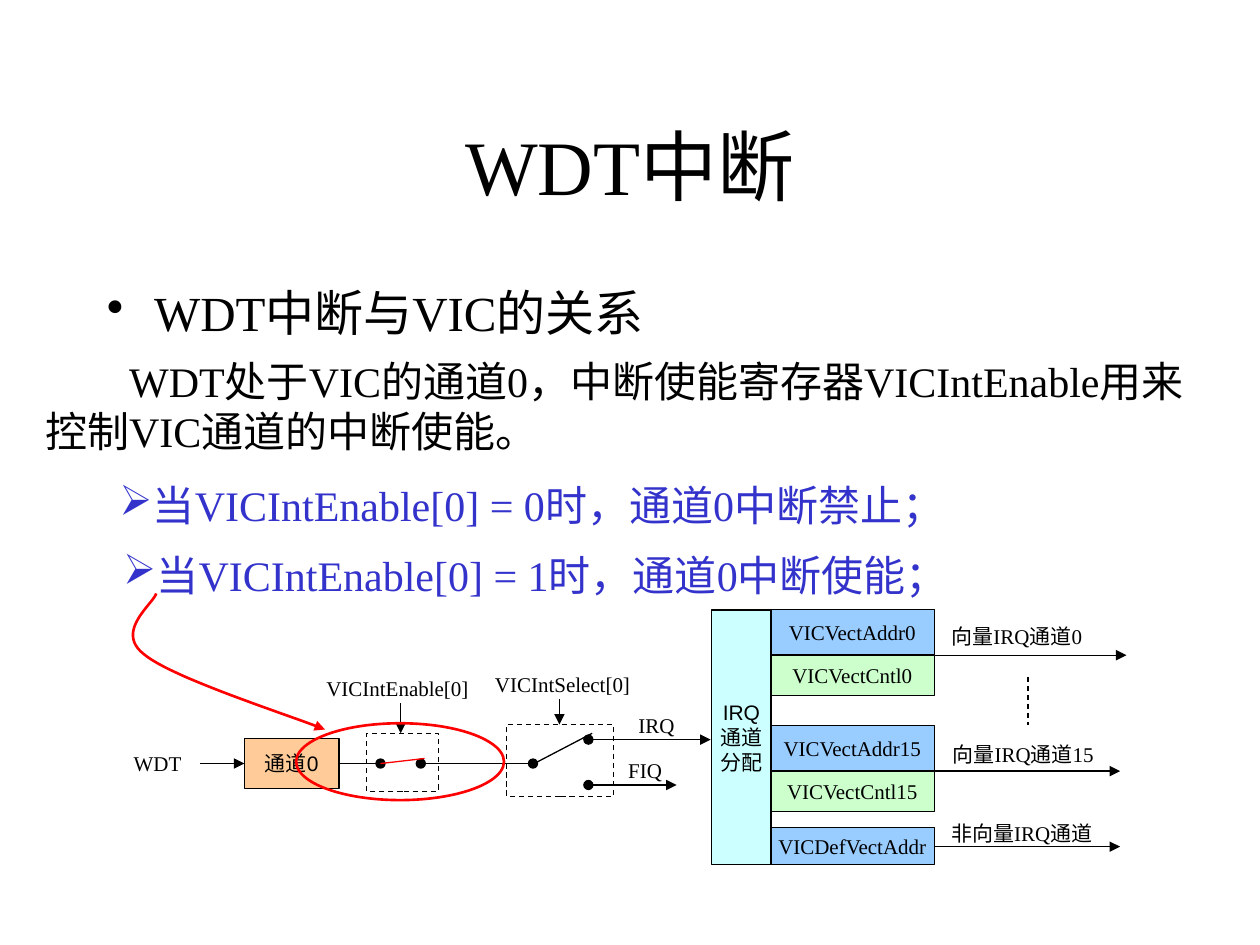
from dataclasses import dataclass

from lxml import etree
from pptx import Presentation
from pptx.dml.color import RGBColor
from pptx.enum.dml import MSO_LINE
from pptx.enum.shapes import MSO_CONNECTOR, MSO_SHAPE
from pptx.enum.text import MSO_ANCHOR, MSO_AUTO_SIZE, PP_ALIGN
from pptx.oxml.ns import qn
from pptx.util import Inches, Pt

RECT, OVAL = MSO_SHAPE.RECTANGLE, MSO_SHAPE.OVAL
STRAIGHT = MSO_CONNECTOR.STRAIGHT
DASH = MSO_LINE.DASH
LEFT, CENTER = PP_ALIGN.LEFT, PP_ALIGN.CENTER
TOP, MIDDLE = MSO_ANCHOR.TOP, MSO_ANCHOR.MIDDLE
FIXED = MSO_AUTO_SIZE.NONE

COLUMNS, ROWS = 100, 75
CELL = Inches(10) // COLUMNS
SERIF, SANS = "Times New Roman", "Arial"
BLACK, WHITE, RED, INDIGO = "000000", "FFFFFF", "FF0000", "3333CC"
ORANGE, BLUE, GREEN, CYAN = "FFCC99", "99CCFF", "CCFFCC", "CCFFFF"


def cells(count):
    return round(count * CELL)


def color(hex_value):
    return RGBColor.from_string(hex_value)


@dataclass
class Box:
    left: float
    top: float
    width: float
    height: float

    def area(self, left, top, width, height):
        return Box(self.left + left, self.top + top, width, height)

    def point(self, x, y):
        return cells(self.left + x), cells(self.top + y)

    def frame(self):
        return [cells(n) for n in (self.left, self.top, self.width, self.height)]


def write(frame, text, size=12, font=SERIF, ink=BLACK, align=CENTER, anchor=TOP,
          wrap=True, bullet=None, margin=0, indent=0):
    frame.auto_size = FIXED
    frame.word_wrap = wrap
    frame.vertical_anchor = anchor
    frame.text = text
    for paragraph in frame.paragraphs:
        paragraph.alignment = align
        properties = paragraph._p.get_or_add_pPr()
        properties.set("marL", str(cells(margin)))
        properties.set("indent", str(cells(indent)))
        if bullet:
            tint = etree.SubElement(properties, qn("a:buClr"))
            etree.SubElement(tint, qn("a:srgbClr"), val=ink)
            etree.SubElement(properties, qn("a:buChar"), char=bullet)
        paragraph.font.size = Pt(size)
        paragraph.font.name = font
        paragraph.font.color.rgb = color(ink)


def label(slide, box, text, **style):
    write(slide.shapes.add_textbox(*box.frame()).text_frame, text, **style)


def outline(item, ink=BLACK, weight=0.75, dash=None, head=None, tail=None):
    item.line.color.rgb = color(ink)
    item.line.width = Pt(weight)
    if dash:
        item.line.dash_style = dash
    stroke = item.line._get_or_add_ln()
    for tag, end in (("a:headEnd", head), ("a:tailEnd", tail)):
        if end:
            etree.SubElement(stroke, qn(tag), type=end)


def block(slide, box, text="", fill=None, kind=RECT, font=SERIF, **stroke):
    shape = slide.shapes.add_shape(kind, *box.frame())
    shape.shadow.inherit = False
    if fill:
        shape.fill.solid()
        shape.fill.fore_color.rgb = color(fill)
    else:
        shape.fill.background()
    outline(shape, **stroke)
    if text:
        write(shape.text_frame, text, font=font, anchor=MIDDLE, wrap=False)


def wire(slide, box, start, end, **stroke):
    connector = slide.shapes.add_connector(STRAIGHT, *box.point(*start), *box.point(*end))
    outline(connector, **stroke)
    etree.SubElement(connector._element.spPr, qn("a:effectLst"))


def add_title(slide, box):
    title = slide.shapes.title
    title.left, title.top, title.width, title.height = box.frame()
    write(title.text_frame, "WDT中断", size=44, anchor=MIDDLE)


def add_explanation(slide, box):
    label(slide, box.area(4.9, 0.97, 68.5, 5.33), "WDT中断与VIC的关系", size=28,
          align=LEFT, bullet="•", margin=3.75, indent=-3.75)
    label(slide, box.area(0, 6.7, 95.1, 9),
          "WDT处于VIC的通道0，中断使能寄存器VICIntEnable用来控制VIC通道的中断使能。",
          size=24, align=LEFT, indent=6.67)
    states = (("0", "禁止", 5.9), ("1", "使能", 6.2))
    for row, (value, effect, left) in enumerate(states):
        label(slide, box.area(left, 16.6 + 5.5 * row, 71.7, 5),
              f"当VICIntEnable[0] = {value}时，通道0中断{effect}；",
              size=24, ink=INDIGO, align=LEFT, bullet="➢")


def add_switches(slide, box):
    main_level, irq, fiq = 7.8, 5.9, 9.5
    block(slide, box.area(30.6, 4.7, 8.5, 5.7), fill=WHITE, dash=DASH)
    block(slide, box.area(19.5, 5.4, 5.7, 4.6), fill=WHITE, dash=DASH)
    block(slide, box.area(9.8, 5.8, 7.5, 4), "通道0", ORANGE, font=SANS)
    for text, left, top, width in (
        ("WDT", 0, 6.3, 5.8),
        ("VICIntEnable[0]", 15.1, 0.3, 13.7),
        ("VICIntSelect[0]", 28.1, 0, 13.9),
        ("IRQ", 39.9, 3.3, 5.2),
        ("FIQ", 39, 6.8, 5.2),
    ):
        label(slide, box.area(left, top, width, 3), text)
    for start, end, head, tail in (
        ((6.3, main_level), (9.8, main_level), None, "triangle"),
        ((17.4, main_level), (20.6, main_level), None, "oval"),
        ((23.8, main_level), (32.7, main_level), "oval", "oval"),
        ((37.1, irq), (46.8, irq), "oval", "triangle"),
        ((37.1, fiq), (44.1, fiq), "oval", "triangle"),
        ((32.8, main_level), (37.4, 5.4), None, None),
        ((22.2, 3), (22.2, 5.4), None, "triangle"),
        ((34.8, 2.7), (34.8, 4.7), None, "triangle"),
    ):
        wire(slide, box, start, end, head=head, tail=tail)
    wire(slide, box, (20.6, main_level), (24.1, 7.4), ink=RED)


def add_vectors(slide, box):
    left, width, exit_x = 4.6, 13.1, 17.6
    outputs = (
        ("向量IRQ通道0", 0.6, 13.2, 3.6, 32.9),
        ("向量IRQ通道15", 10, 14.2, 12.8, 32.4),
        ("非向量IRQ通道", 16.2, 14, 18.8, 32.4),
    )
    for text, top, label_width, level, tip in outputs:
        label(slide, box.area(exit_x, top, label_width, 3), text)
        wire(slide, box, (exit_x, level), (tip, level), tail="triangle")
    wire(slide, box, (25.1, 5.3), (25.1, 9.1), dash=DASH)
    for channel, top in ((0, 0), (15, 9.2)):
        block(slide, box.area(left, top, width, 3.6), f"VICVectAddr{channel}", BLUE)
        block(slide, box.area(left, top + 3.6, width, 3.2), f"VICVectCntl{channel}", GREEN)
    block(slide, box.area(left, 17.3, width, 2.9), "VICDefVectAddr", BLUE)
    block(slide, box.area(0, 0, 4.7, box.height), "IRQ\n通道\n分配", CYAN, font=SANS)


def bezier(points, t):
    weights = ((1 - t) ** 3, 3 * t * (1 - t) ** 2, 3 * t * t * (1 - t), t ** 3)
    return tuple(sum(w * p[axis] for w, p in zip(weights, points)) for axis in (0, 1))


def add_highlight(slide, box):
    block(slide, box.area(14.4, 10.3, 16.5, 6.1), kind=OVAL, ink=RED, weight=1.5)
    knots = ((3.3, 0), (3.1, 0.8), (0, 3), (2.3, 4.8), (4.5, 6.7), (13.7, 9.6), (16.7, 10.8))
    steps = 24
    trail = [box.point(*bezier(knots[first:first + 4], step / steps))
             for first in (0, 3) for step in range(1, steps + 1)]
    builder = slide.shapes.build_freeform(*box.point(*knots[0]))
    builder.add_line_segments(trail, close=False)
    curve = builder.convert_to_shape()
    curve.shadow.inherit = False
    curve.fill.background()
    outline(curve, ink=RED, weight=1.5, tail="triangle")


def main():
    presentation = Presentation()
    presentation.slide_width = cells(COLUMNS)
    presentation.slide_height = cells(ROWS)
    slide = presentation.slides.add_slide(presentation.slide_layouts[5])
    add_title(slide, Box(7.5, 6.8, 85, 12.5))
    add_vectors(slide, Box(56.5, 48.4, 32.9, 20.2))
    add_switches(slide, Box(9.6, 52.8, 46.8, 10.4))
    add_explanation(slide, Box(2.6, 21, 95.1, 27.1))
    add_highlight(slide, Box(9.1, 47.1, 30.9, 16.4))
    presentation.save("out.pptx")


if __name__ == "__main__":
    main()
